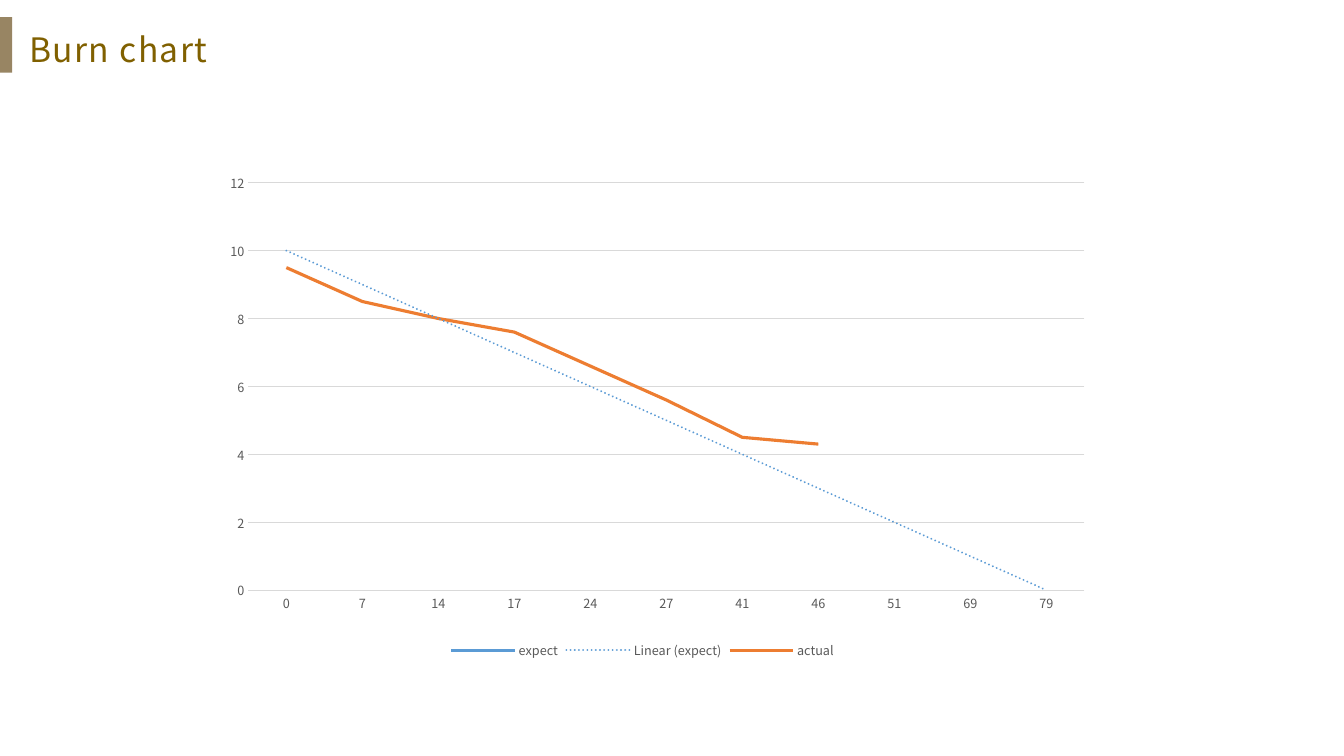
from pptx import Presentation
from pptx.chart.data import CategoryChartData
from pptx.dml.color import RGBColor
from pptx.enum.chart import XL_CHART_TYPE, XL_LEGEND_POSITION, XL_TICK_MARK
from pptx.enum.shapes import MSO_SHAPE
from pptx.enum.text import MSO_ANCHOR, MSO_AUTO_SIZE, PP_ALIGN
from pptx.oxml import parse_xml
from pptx.oxml.ns import nsdecls, qn
from pptx.util import Inches, Pt

LINE = XL_CHART_TYPE.LINE
BOTTOM = XL_LEGEND_POSITION.BOTTOM
NO_TICK = XL_TICK_MARK.NONE
RECT = MSO_SHAPE.RECTANGLE
TOP = MSO_ANCHOR.TOP
GROW = MSO_AUTO_SIZE.SHAPE_TO_FIT_TEXT
LEFT = PP_ALIGN.LEFT

FONT = "Noto Sans CJK SC"
COLORS = {
    "accent": "988563",
    "title": "806000",
    "text": "000000",
    "label": "595959",
    "grid": "D9D9D9",
    "expect": "5B9BD5",
    "actual": "ED7D31",
}
DAYS = ["0", "7", "14", "17", "24", "27", "41", "46", "51", "69", "79"]
EXPECT = [10] + [None] * 9 + [0]
ACTUAL = [9.5, 8.5, 8, 7.6, 6.6, 5.6, 4.5, 4.3, None, None, None]
PLOT_AREA = {"x": 0.054, "y": 0.078, "w": 0.946, "h": 0.782}


def rgb(name):
    return RGBColor.from_string(COLORS[name])


def set_font(font, size, color):
    font.name = FONT
    font.size = Pt(size)
    font.color.rgb = rgb(color)


def set_line(line, color, width):
    line.color.rgb = rgb(color)
    line.width = Pt(width)


def write_text(tf, text, size=24, color="title", line_spacing=1.2, tracking=1):
    p = tf.paragraphs[0]
    p.alignment = LEFT
    p.line_spacing = line_spacing
    p.space_before = Pt(0)
    r = p.add_run()
    r.text = text
    set_font(r.font, size, color)
    r.font.bold = False
    r._r.get_or_add_rPr().set("spc", str(tracking * 100))


def add_title(s, text):
    sp = s.shapes.title
    sp.left, sp.top, sp.width, sp.height = map(Inches, (0.19, 0.16, 7.55, 0.55))
    tf = sp.text_frame
    tf.word_wrap = True
    tf.auto_size = GROW
    tf.vertical_anchor = TOP
    write_text(tf, text)


def add_bar(s, left, top, width, height, color):
    sp = s.shapes.add_shape(RECT, *map(Inches, (left, top, width, height)))
    sp.shadow.inherit = False
    sp.fill.solid()
    sp.fill.fore_color.rgb = rgb(color)
    sp.line.fill.background()


def place_plot(chart):
    plot_area = chart.plots[0]._element.getparent()
    for layout in plot_area.findall(qn("c:layout")):
        plot_area.remove(layout)
    modes = "".join(f'<c:{k}Mode val="edge"/>' for k in "xy")
    sizes = "".join(f'<c:{k} val="{v}"/>' for k, v in PLOT_AREA.items())
    plot_area.insert(0, parse_xml(
        f'<c:layout {nsdecls("c")}><c:manualLayout><c:layoutTarget val="inner"/>'
        f"{modes}{sizes}</c:manualLayout></c:layout>"))


def add_trend(series, color, width):
    trend = parse_xml(
        f'<c:trendline {nsdecls("c", "a")}><c:spPr>'
        f'<a:ln w="{Pt(width)}" cap="rnd"><a:solidFill>'
        f'<a:srgbClr val="{COLORS[color]}"/></a:solidFill>'
        '<a:prstDash val="sysDot"/></a:ln></c:spPr>'
        '<c:trendlineType val="linear"/><c:dispRSqr val="0"/>'
        '<c:dispEq val="0"/></c:trendline>')
    series._element.find(qn("c:cat")).addprevious(trend)


def format_axis(axis):
    axis.major_tick_mark = NO_TICK
    axis.minor_tick_mark = NO_TICK
    set_font(axis.tick_labels.font, 9, "label")


def add_burn_chart(s):
    data = CategoryChartData()
    data.categories = DAYS
    data.add_series("expect", EXPECT)
    data.add_series("actual", ACTUAL)
    box = map(Inches, (1.99, 1.41, 8.77, 5.17))
    chart = s.shapes.add_chart(LINE, *box, data).chart
    chart.has_title = False
    set_font(chart.font, 10, "text")

    chart.has_legend = True
    chart.legend.position = BOTTOM
    chart.legend.include_in_layout = False
    set_font(chart.legend.font, 9, "label")

    days, points = chart.category_axis, chart.value_axis
    for axis in (days, points):
        format_axis(axis)
    set_line(days.format.line, "grid", 0.75)
    points.format.line.fill.background()
    points.minimum_scale, points.maximum_scale, points.major_unit = 0, 12, 2
    points.has_major_gridlines = True
    set_line(points.major_gridlines.format.line, "grid", 0.75)

    plot = chart.plots[0]
    plot.vary_by_categories = False
    for series in plot.series:
        series.smooth = False
        set_line(series.format.line, series.name, 2.25)
    add_trend(plot.series[0], "expect", 1.5)
    place_plot(chart)


def main():
    prs = Presentation()
    prs.slide_width, prs.slide_height = Inches(13.33), Inches(7.5)
    s = prs.slides.add_slide(prs.slide_layouts[5])
    add_bar(s, 0, 0.17, 0.12, 0.55, "accent")
    add_title(s, "Burn chart")
    add_burn_chart(s)
    prs.save("out.pptx")


if __name__ == "__main__":
    main()
